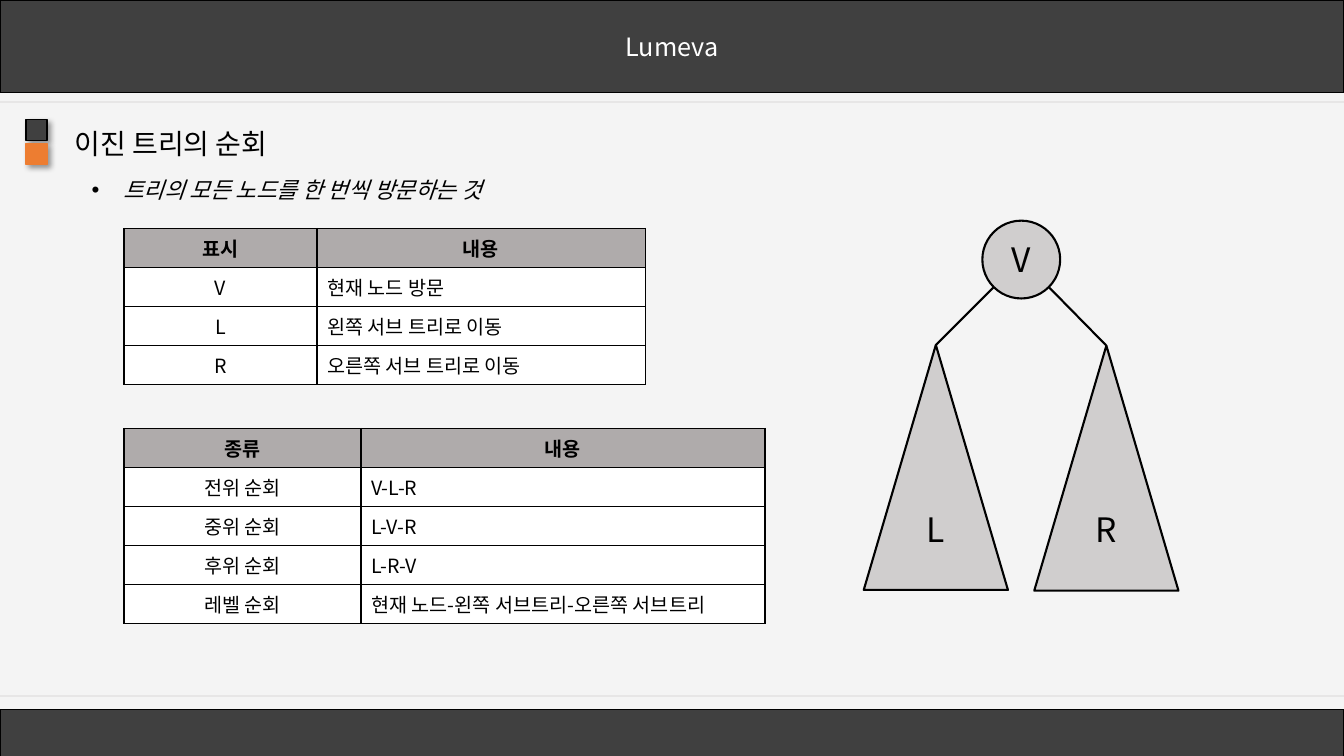
from lxml import etree
from pptx import Presentation
from pptx.dml import color
from pptx.enum import shapes, text
from pptx.oxml import ns, parse_xml
from pptx.util import Pt

FONT = "Noto Sans CJK KR"
BLACK, WHITE, DARK, PALE = "000000", "FFFFFF", "404040", "D0CECE"
CENTER, LEFT = text.PP_ALIGN.CENTER, text.PP_ALIGN.LEFT
SHAPE = shapes.MSO_SHAPE
SHADOW = (
    f'<a:effectLst {ns.nsdecls("a")}><a:outerShdw blurRad="{Pt(4)}" dist="{Pt(3)}" '
    f'dir="2700000" algn="tl" rotWithShape="0"><a:srgbClr val="{BLACK}">'
    '<a:alpha val="40000"/></a:srgbClr></a:outerShdw></a:effectLst>'
)
BORDER = (
    '<a:{side} {names} w="{width}"><a:solidFill><a:srgbClr val="{color}"/>'
    '</a:solidFill></a:{side}>'
)
rgb = color.RGBColor.from_string


def write(paragraph, words, size, hue=BLACK, align=LEFT, **formats):
    """Put one formatted run into a paragraph and return it."""
    paragraph.alignment = align
    run = paragraph.add_run()
    run.text = words
    run.font.color.rgb = rgb(hue)
    for name, value in dict(size=Pt(size), name=FONT, **formats).items():
        setattr(run.font, name, value)
    etree.SubElement(run.font._element, ns.qn("a:ea"), typeface=FONT)
    return run


def add_box(parent, kind, box, fill, line, width):
    """Add a filled, outlined shape without a shadow."""
    shape = parent.add_shape(kind, *map(Pt, box))
    shape.shadow.inherit = False
    shape.fill.solid()
    shape.fill.fore_color.rgb = rgb(fill)
    shape.line.color.rgb = rgb(line)
    shape.line.width = Pt(width)
    return shape


presentation = Presentation()
presentation.slide_width, presentation.slide_height = Pt(960), Pt(540)
slide = presentation.slides.add_slide(presentation.slide_layouts[6])
slide.background.fill.solid()
slide.background.fill.fore_color.rgb = rgb("F4F4F4")

# Header and footer bands
header = add_box(slide.shapes, SHAPE.RECTANGLE, (0, 0, 960, 66), DARK, BLACK, 1)
header.text_frame.vertical_anchor = text.MSO_ANCHOR.MIDDLE
write(header.text_frame.paragraphs[0], "Lumeva", 18, WHITE, CENTER)
add_box(slide.shapes, SHAPE.RECTANGLE, (0, 506.6, 960, 33.6), DARK, BLACK, 1)

# Title markers
markers = slide.shapes.add_group_shape().shapes
for top, fill, line in ((85.4, DARK, BLACK), (102.6, "ED7D31", "ED7D31")):
    marker = add_box(markers, SHAPE.RECTANGLE, (18.7, top, 14.8, 14.8), fill, line, 1)
    properties = marker._element.spPr
    properties.replace(properties.find(ns.qn("a:effectLst")), parse_xml(SHADOW))

# Title and definition
title = slide.shapes.add_textbox(Pt(46.1), Pt(87.1), Pt(381.6), Pt(31.5))
title.text_frame.word_wrap = True
run = write(title.text_frame.paragraphs[0], "이진 트리의 순회", 20)
run.font._element.insert(1, parse_xml(SHADOW))

definition = slide.shapes.add_textbox(Pt(58.3), Pt(122.4), Pt(329.8), Pt(26.6))
definition.text_frame.word_wrap = False
paragraph = definition.text_frame.paragraphs[0]
write(paragraph, "트리의 모든 노드를 한 번씩 방문하는 것", 16, italic=True)
indents = paragraph._p.get_or_add_pPr()
indents.set("marL", str(Pt(22.5)))
indents.set("indent", str(-Pt(22.5)))
etree.SubElement(indents, ns.qn("a:buFont"), typeface="Arial")
etree.SubElement(indents, ns.qn("a:buChar"), char="•")

# Tree, joints and separator lines
tree = slide.shapes.add_group_shape().shapes
nodes = (
    ("V", SHAPE.OVAL, (701.7, 157.6, 55.6, 55.6)),
    ("L", SHAPE.ISOSCELES_TRIANGLE, (617, 246.4, 103, 175)),
    ("R", SHAPE.ISOSCELES_TRIANGLE, (738.8, 246.9, 103, 175)),
)
for label, kind, box in nodes:
    node = add_box(tree, kind, box, PALE, BLACK, 1.5)
    node.text_frame.vertical_anchor = text.MSO_ANCHOR.MIDDLE
    write(node.text_frame.paragraphs[0], label, 24, align=CENTER)

lines = (
    (slide.shapes, (0, 72.7, 960, 72.7), "E7E6E6"),
    (slide.shapes, (0, 497.2, 960, 497.2), "E7E6E6"),
    (tree, (709.9, 205, 668.5, 246.4), BLACK),
    (tree, (749.1, 205, 790.3, 246.9), BLACK),
)
for parent, ends, hue in lines:
    line = parent.add_connector(shapes.MSO_CONNECTOR.STRAIGHT, *map(Pt, ends))
    line.line.color.rgb = rgb(hue)
    line.line.width = Pt(1.5)
    etree.SubElement(line._element.spPr, ns.qn("a:effectLst"))

# Tables of symbols and of traversal orders
ROW_HEIGHT = 27.85
symbols = (
    ("표시", "내용"),
    ("V", "현재 노드 방문"),
    ("L", "왼쪽 서브 트리로 이동"),
    ("R", "오른쪽 서브 트리로 이동"),
)
orders = (
    ("종류", "내용"),
    ("전위 순회", "V-L-R"),
    ("중위 순회", "L-V-R"),
    ("후위 순회", "L-R-V"),
    ("레벨 순회", "현재 노드-왼쪽 서브트리-오른쪽 서브트리"),
)
for top, widths, rows in ((163.2, (137.8, 234.4), symbols), (306, (169.2, 288.7), orders)):
    table = slide.shapes.add_table(
        len(rows), 2, Pt(88.6), Pt(top), Pt(sum(widths)), Pt(ROW_HEIGHT * len(rows))
    ).table
    for column, width in zip(table.columns, widths):
        column.width = Pt(width)
    for i, row in enumerate(rows):
        table.rows[i].height = Pt(ROW_HEIGHT)
        for j, words in enumerate(row):
            cell = table.cell(i, j)
            cell.fill.solid()
            cell.fill.fore_color.rgb = rgb(WHITE if i else "AFABAB")
            align = LEFT if i and j else CENTER
            write(cell.text_frame.paragraphs[0], words, 14, align=align, bold=i == 0)
            for k, side in enumerate(("lnL", "lnR", "lnT", "lnB")):
                border = BORDER.format(
                    side=side, names=ns.nsdecls("a"), width=Pt(1), color=BLACK
                )
                cell._tc.get_or_add_tcPr().insert(k, parse_xml(border))

presentation.save("out.pptx")
